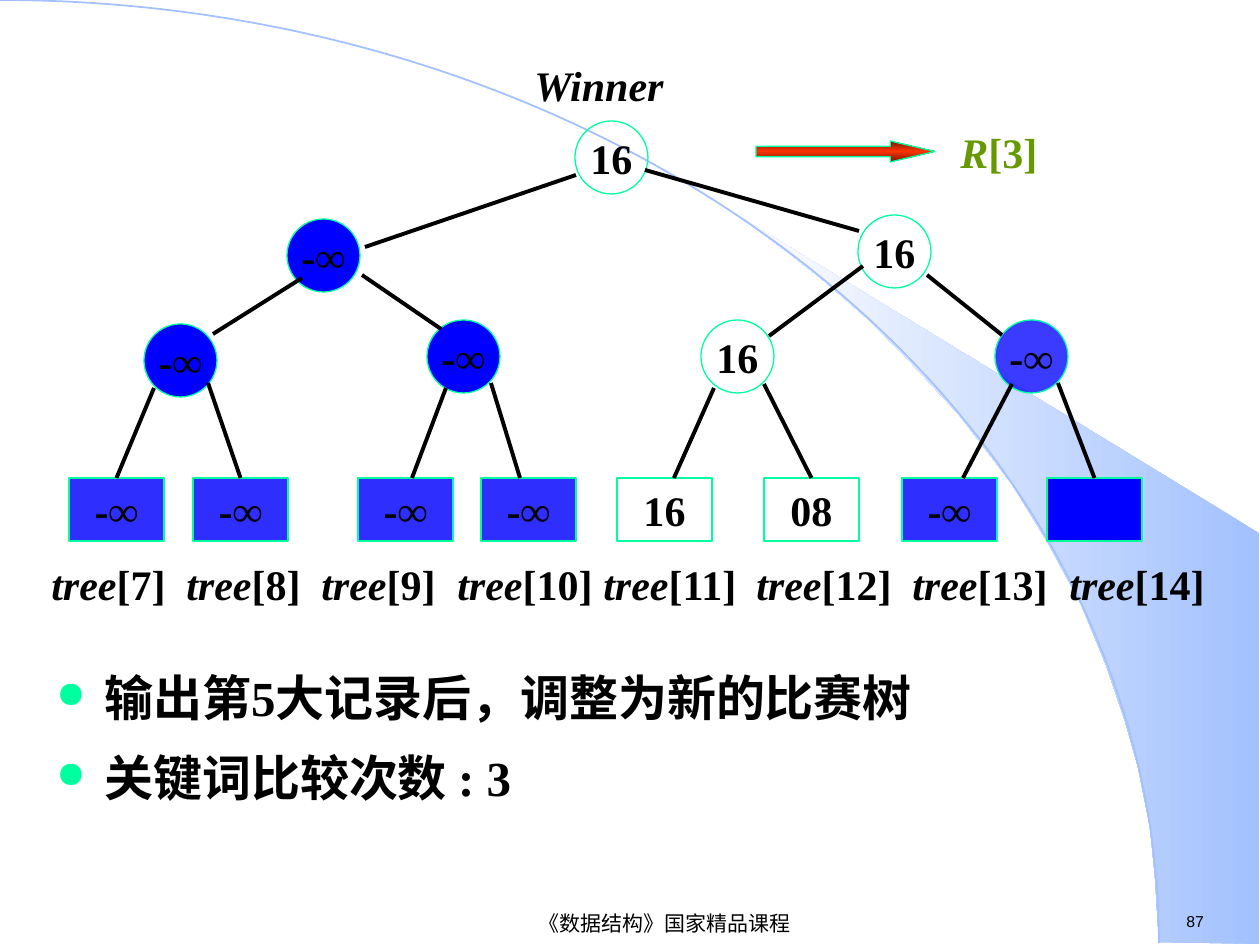
import lxml.etree
import pptx
import pptx.dml.color
import pptx.enum.shapes
import pptx.enum.text
import pptx.oxml.ns
import pptx.util

PX = 914400 / 126
SERIF, SANS = "Times New Roman", "Arial"
COLORS = {
    "ink": "000000", "mint": "00FF9F", "blue": "0000FF", "olive": "669900",
    "sky": "A2C1FE", "white": "FEFEFE", "red": "FF3300", "maroon": "751700",
}
SHAPE = pptx.enum.shapes.MSO_SHAPE
ALIGN = pptx.enum.text.PP_ALIGN
ANCHOR = pptx.enum.text.MSO_ANCHOR

WEDGE = [(1159, 942), (1259, 944), (1259, 533), (742, 218), (786, 251), (823, 280),
         (863, 315), (902, 353), (960, 416), (1012, 484), (1048, 543), (1081, 604),
         (1106, 665), (1125, 721), (1138, 767), (1150, 827), (1155, 877)]

# Left, top, key, opacity of the blue fill in percent (0 for no fill)
NODE_SIZE = 73
NODES = [
    (575, 121, "16", 0),
    (287, 219, "-∞", 100), (858, 215, "16", 0),
    (144, 324, "-∞", 100), (427, 320, "-∞", 100),
    (701, 320, "16", 0), (995, 320, "-∞", 77),
]

# Left, key, opacity; the leaves are tree[7] to tree[14]
LEAF_TOP, LEAF_WIDTH, LEAF_HEIGHT, FIRST_LEAF = 478, 95, 63, 7
LEAVES = [
    (69, "-∞", 82), (193, "-∞", 82), (358, "-∞", 82), (481, "-∞", 82),
    (617, "16", 0), (764, "08", 0), (902, "-∞", 82), (1047, "", 100),
]
LABEL_STOPS = [135, 270, 406, 552, 705, 861, 1018]

INNER_EDGES = [
    (645, 170, 859, 231), (365, 247, 576, 175), (863, 266, 769, 336),
    (362, 275, 441, 329), (927, 275, 1002, 335), (302, 278, 213, 334),
]
# Start x, start y, end x, one for each leaf
LEAF_EDGES = [
    (154, 388, 113), (208, 383, 243), (446, 388, 412), (491, 383, 520),
    (714, 388, 674), (764, 384, 809), (1012, 384, 963), (1058, 383, 1096),
]


def px(*lengths):
    return [pptx.util.Emu(round(length * PX)) for length in lengths]


def rgb(name):
    return pptx.dml.color.RGBColor.from_string(COLORS[name])


def add_xml(parent, tag, **attributes):
    return lxml.etree.SubElement(parent, pptx.oxml.ns.qn(tag), attributes)


def add_runs(paragraph, runs, size, font=SERIF, color="ink", bold=True):
    """Add (text, italic) pairs as runs that share all other formatting."""
    for text, italic in runs:
        run = paragraph.add_run()
        run.text = text
        run.font.name, run.font.size = font, pptx.util.Pt(size)
        run.font.bold, run.font.italic = bold, italic
        run.font.color.rgb = rgb(color)


def add_text(slide, box, runs, size, align=ALIGN.LEFT, anchor=ANCHOR.TOP, **style):
    frame = slide.shapes.add_textbox(*px(*box)).text_frame
    frame.word_wrap = True
    frame.vertical_anchor = anchor
    paragraph = frame.paragraphs[0]
    paragraph.alignment = align
    add_runs(paragraph, runs, size, **style)
    return frame


def set_gradient(shape, stops, angle):
    """Fill with (position, color) stops; the angle runs clockwise."""
    shape.fill.gradient()
    gradient = shape._element.spPr.find(pptx.oxml.ns.qn("a:gradFill"))
    for child in list(gradient):
        gradient.remove(child)
    stop_list = add_xml(gradient, "a:gsLst")
    for position, color in stops:
        stop = add_xml(stop_list, "a:gs", pos=str(position * 1000))
        add_xml(stop, "a:srgbClr", val=COLORS[color])
    add_xml(gradient, "a:lin", ang=str(angle * 60000), scaled="0")


def set_line(shape, color, width):
    shape.shadow.inherit = False
    shape.line.color.rgb = rgb(color)
    shape.line.width = pptx.util.Pt(width)


def add_key(slide, kind, box, key, opacity):
    """Draw a tree node or leaf with its key in the middle."""
    shape = slide.shapes.add_shape(kind, *px(*box))
    set_line(shape, "mint", 0.75)
    if opacity:
        shape.fill.solid()
        shape.fill.fore_color.rgb = rgb("blue")
        if opacity < 100:
            fill = shape._element.spPr.find(pptx.oxml.ns.qn("a:solidFill"))
            add_xml(fill[0], "a:alpha", val=str(opacity * 1000))
    else:
        shape.fill.background()
    if key:
        frame = shape.text_frame
        frame.word_wrap = False
        frame.vertical_anchor = ANCHOR.MIDDLE
        frame.paragraphs[0].alignment = ALIGN.CENTER
        add_runs(frame.paragraphs[0], [(key, False)], 24)
    return shape


def add_edge(slide, start_x, start_y, end_x, end_y):
    edge = slide.shapes.add_connector(
        pptx.enum.shapes.MSO_CONNECTOR.STRAIGHT, *px(start_x, start_y, end_x, end_y))
    edge.line.color.rgb = rgb("ink")
    edge.line.width = pptx.util.Pt(2.25)
    add_xml(edge._element.spPr, "a:effectLst")
    return edge


def add_background(slide):
    builder = slide.shapes.build_freeform(*WEDGE[0], scale=PX)
    builder.add_line_segments(WEDGE[1:], close=True)
    wedge = builder.convert_to_shape()
    wedge.shadow.inherit = False
    set_gradient(wedge, [(0, "sky"), (100, "white")], 180)
    wedge.line.fill.background()

    curve = slide.shapes.add_shape(SHAPE.ARC, *px(-1159, 0, 2318, 1886))
    curve.fill.background()
    set_line(curve, "sky", 1)


def add_tree(slide):
    for left, top, key, opacity in NODES:
        add_key(slide, SHAPE.OVAL, (left, top, NODE_SIZE, NODE_SIZE), key, opacity)
    for ends in INNER_EDGES:
        add_edge(slide, *ends)
    for (left, key, opacity), (start_x, start_y, end_x) in zip(LEAVES, LEAF_EDGES):
        leaf = add_key(slide, SHAPE.RECTANGLE,
                       (left, LEAF_TOP, LEAF_WIDTH, LEAF_HEIGHT), key, opacity)
        edge = add_edge(slide, start_x, start_y, end_x, LEAF_TOP)
        if abs(left + LEAF_WIDTH / 2 - end_x) < 4:
            edge.end_connect(leaf, 0)


def add_leaf_labels(slide):
    runs = []
    for offset in range(len(LEAVES)):
        runs += [("\ttree" if offset else "tree", True),
                 (f"[{FIRST_LEAF + offset}]", False)]
    frame = add_text(slide, (39, 552, 1187, 63), runs, 24)
    tabs = add_xml(frame.paragraphs[0]._p.get_or_add_pPr(), "a:tabLst")
    for stop in LABEL_STOPS:
        add_xml(tabs, "a:tab", pos=str(px(stop)[0]), algn="l")


def add_winner_output(slide):
    add_text(slide, (522, 53, 166, 63), [("Winner", True)], 24)
    arrow = slide.shapes.add_shape(SHAPE.RIGHT_ARROW, *px(756, 141, 179, 21))
    arrow.adjustments[0], arrow.adjustments[1] = 0.5, 2.13
    set_gradient(arrow, [(0, "maroon"), (50, "red"), (100, "maroon")], 90)
    set_line(arrow, "mint", 0.75)
    add_text(slide, (948, 120, 112, 63), [("R", True), ("[3]", False)], 24,
             color="olive")


def add_bullets(slide, box, lines):
    frame = slide.shapes.add_textbox(*px(*box)).text_frame
    frame.word_wrap = True
    frame.text = "\n".join(lines)
    indent = px(48)[0]
    for paragraph in frame.paragraphs:
        properties = paragraph._p.get_or_add_pPr()
        properties.set("marL", str(indent))
        properties.set("indent", str(-indent))
        add_xml(add_xml(properties, "a:buClr"), "a:srgbClr", val=COLORS["mint"])
        add_xml(properties, "a:buSzPct", val="75000")
        add_xml(properties, "a:buChar", char="●")
        paragraph.alignment = ALIGN.JUSTIFY
        paragraph.line_spacing = 1.35
        for run in paragraph.runs:
            run.font.name, run.font.size = SERIF, pptx.util.Pt(28)
            run.font.bold = True
            run.font.color.rgb = rgb("ink")


def main():
    deck = pptx.Presentation()
    deck.slide_width, deck.slide_height = px(1260, 945)
    slide = deck.slides.add_slide(deck.slide_layouts[6])
    add_background(slide)
    add_text(slide, (1174, 906, 86, 32), [("87", False)], 9, font=SANS, bold=False)
    add_text(slide, (302, 908, 725, 30), [("《数据结构》国家精品课程", False)], 12,
             align=ALIGN.CENTER, anchor=ANCHOR.MIDDLE, font=SANS, bold=False)
    add_bullets(slide, (44, 641, 1178, 189),
                ["输出第5大记录后，调整为新的比赛树", "关键词比较次数 : 3"])
    add_tree(slide)
    add_leaf_labels(slide)
    add_winner_output(slide)
    deck.save("out.pptx")


if __name__ == "__main__":
    main()
